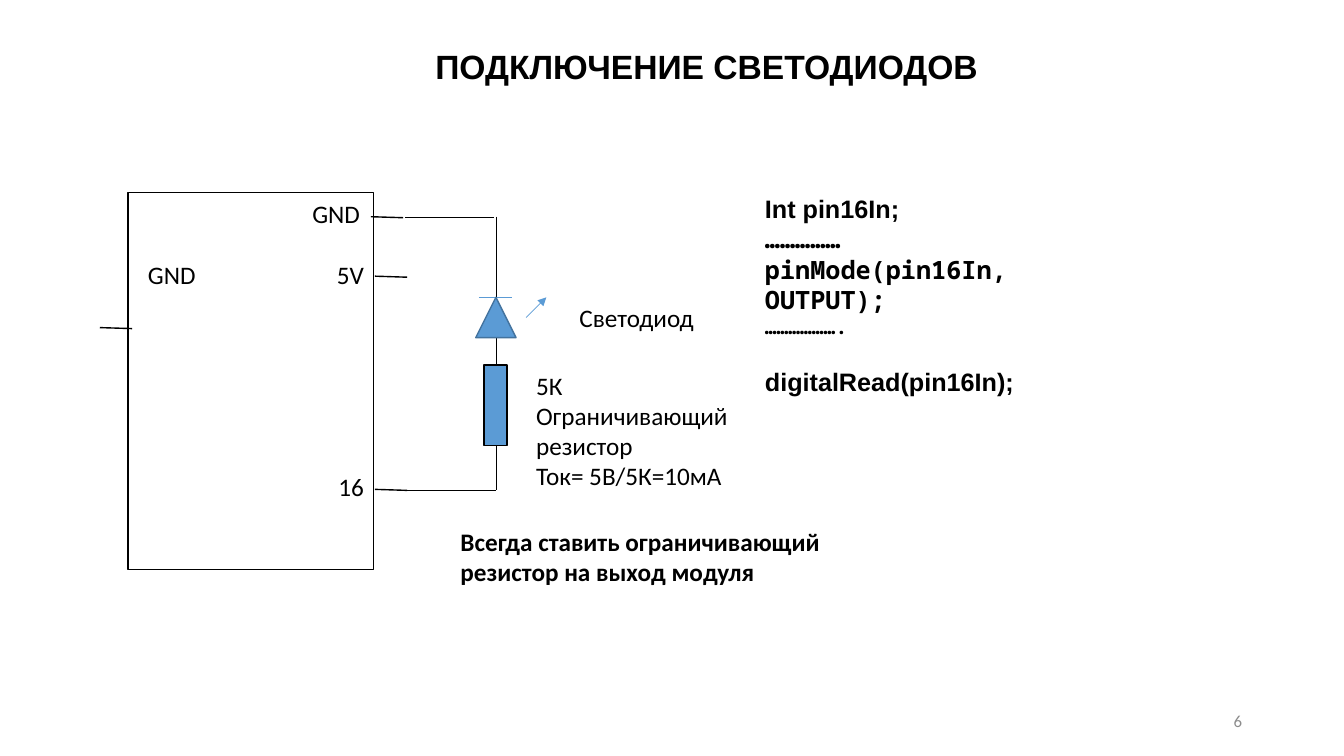
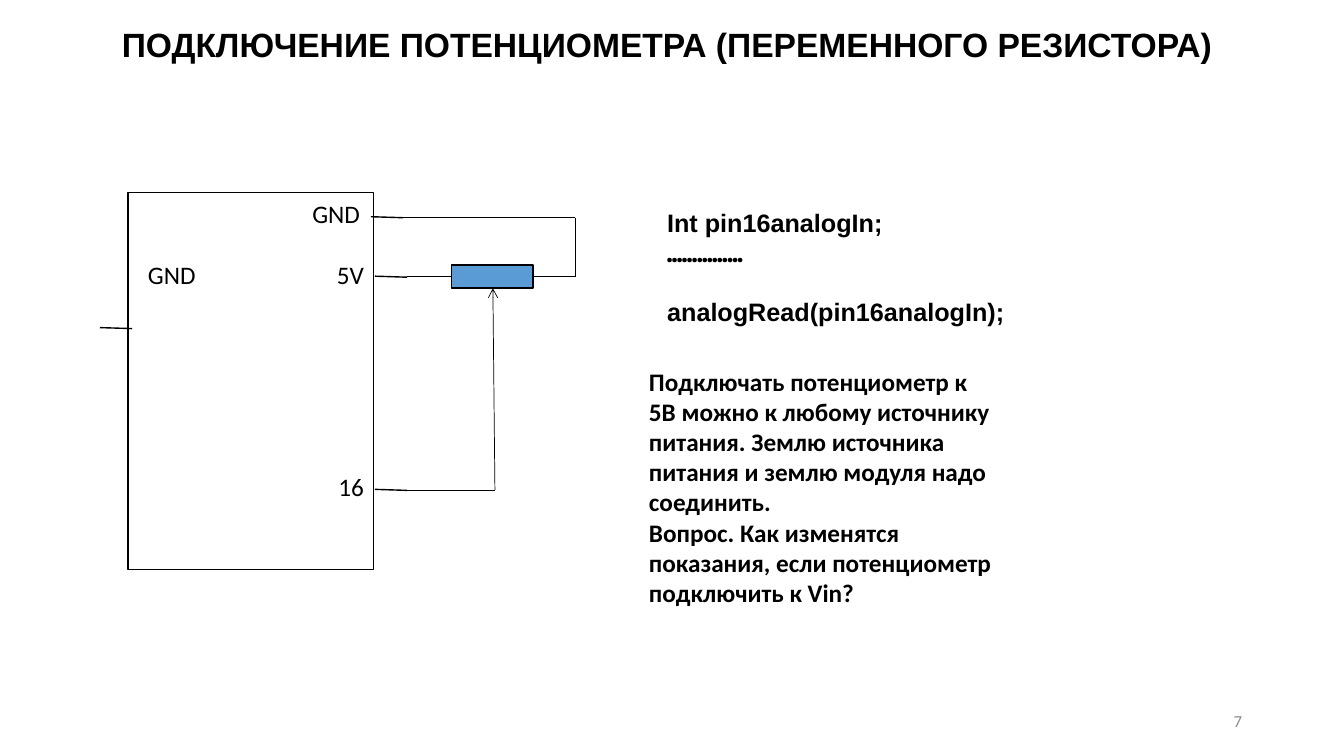
import pptx
import pptx.util
import pptx.dml.color
import pptx.enum.shapes
import pptx.enum.text
import pptx.oxml
import pptx.oxml.ns

RGB = pptx.dml.color.RGBColor
BLACK = RGB(0x00, 0x00, 0x00)
GRAY = RGB(0x8C, 0x8C, 0x8C)
BLUE = RGB(0x5B, 0x9B, 0xD5)
NAVY = RGB(0x43, 0x73, 0x9E)
SANS, BODY, MONO = "Arial", "Calibri", "Noto Sans Mono"
RECT = pptx.enum.shapes.MSO_SHAPE.RECTANGLE
FLAG = pptx.enum.shapes.MSO_SHAPE.ISOSCELES_TRIANGLE
LEFT = pptx.enum.text.PP_ALIGN.LEFT
RIGHT = pptx.enum.text.PP_ALIGN.RIGHT

# Grid of square cells, ten to the inch
CELL = pptx.util.Inches(0.1)
COLS, ROWS = 133.33, 75


def text(slide, box, lines, font=BODY, size=18, bold=False, color=BLACK, align=LEFT):
    """Each line is a string or (string, font, size, space before)."""
    frame = slide.shapes.add_textbox(*[int(n * CELL) for n in box]).text_frame
    frame.word_wrap = True
    for i, line in enumerate(lines):
        if isinstance(line, str):
            line = (line, font, size, 0)
        para = frame.paragraphs[0] if i == 0 else frame.add_paragraph()
        para.text, face, points, gap = line
        para.alignment = align
        if gap:
            para.space_before = pptx.util.Pt(gap)
        for run in para.runs:
            run.font.name = face
            run.font.size = pptx.util.Pt(points)
            run.font.bold = bold
            run.font.color.rgb = color
    return frame


def wire(slide, ends, width=0.5, color=BLACK, tip=None):
    kind = pptx.enum.shapes.MSO_CONNECTOR.STRAIGHT
    line = slide.shapes.add_connector(kind, *[int(n * CELL) for n in ends])
    line.line.width = pptx.util.Pt(width)
    line.line.color.rgb = color
    if tip:
        mark = pptx.oxml.parse_xml(
            f'<a:tailEnd {pptx.oxml.ns.nsdecls("a")} type="{tip}"/>')
        line.line._get_or_add_ln().append(mark)
    flat = pptx.oxml.parse_xml(f'<a:effectLst {pptx.oxml.ns.nsdecls("a")}/>')
    line._element.spPr.append(flat)


# Board shared by both slides: outline, pins and pin labels
BOARD = (RECT, (12.7, 19.1, 24.4, 37.4), None, BLACK, 0.75)
PINS = [(9.9, 32.5), (36.8, 21.5), (37.2, 27.4), (37.2, 48.55)]
LABELS = [("GND", 26.7, 19.2, RIGHT), ("GND", 13.7, 25.2, LEFT),
          ("5V", 27.1, 25.2, RIGHT), ("16", 27.1, 46.3, RIGHT)]

SLIDES = [
    {
        "title": ("ПОДКЛЮЧЕНИЕ СВЕТОДИОДОВ", (42.2, 4.1, 57.5, 5)),
        "wires": [
            ((40.2, 21.6, 49, 21.6),),
            ((49.2, 21.5, 49.2, 29.5),),
            ((49.2, 33.5, 49.2, 48.6),),
            ((40.2, 48.6, 49.2, 48.6),),
            ((47.5, 29.5, 50.8, 29.5), 0.5, BLUE),
            ((52.2, 31.5, 54.2, 29.5), 0.5, BLUE, "triangle"),
        ],
        "parts": [(RECT, (48, 36.2, 2.3, 8), BLUE, BLACK, 1),
                  (FLAG, (47.2, 29.5, 4, 4), BLUE, NAVY, 1)],
        "code": ((74.9, 18.7, 35.4, 17.8), [
            "Int pin16In;",
            ("……………", MONO, 18, 0),
            ("pinMode(pin16In, OUTPUT);", MONO, 18, 0),
            ("……………….", MONO, 14, 0),
            ("digitalRead(pin16In);", SANS, 18, 20)]),
        "notes": [
            ((52.2, 36.2, 22.7, 13.1), False,
             ["5К", "Ограничивающий резистор", "Ток= 5В/5К=10мА"]),
            ((56.5, 29.5, 14.2, 4), False, ["Светодиод"]),
            ((44.7, 51.7, 38.6, 7.1), True,
             ["Всегда ставить ограничивающий резистор на выход модуля"]),
        ],
    },
    {
        "title": ("ПОДКЛЮЧЕНИЕ ПОТЕНЦИОМЕТРА (ПЕРЕМЕННОГО РЕЗИСТОРА)",
                  (11.1, 1.9, 110.7, 5)),
        "wires": [
            ((40, 21.6, 57, 21.6),),
            ((57.1, 21.6, 57.1, 27.5),),
            ((52.9, 27.45, 57.1, 27.45),),
            ((40.4, 27.45, 44.8, 27.45),),
            ((49.1, 48.6, 48.9, 28.6), 0.5, BLACK, "arrow"),
            ((40.4, 48.6, 49.1, 48.6),),
        ],
        "parts": [(RECT, (44.8, 26.3, 8.1, 2.3), BLUE, BLACK, 1)],
        "code": ((65.2, 20.1, 40.3, 12.5), [
            "Int pin16analogIn;",
            ("……………", MONO, 18, 0),
            ("analogRead(pin16analogIn);", SANS, 18, 20)]),
        "notes": [
            ((63.4, 35.8, 36.4, 25.2), True,
             ["Подключать потенциометр к 5В можно к любому источнику питания. "
              "Землю источника питания и землю модуля надо соединить.",
              "Вопрос. Как изменятся показания, если потенциометр",
              "подключить к Vin?"]),
        ],
    },
]

deck = pptx.Presentation()
deck.slide_width = int(COLS * CELL)
deck.slide_height = int(ROWS * CELL)

for page, data in enumerate(SLIDES, start=6):
    slide = deck.slides.add_slide(deck.slide_layouts[6])

    # Title and page number
    title, box = data["title"]
    text(slide, box, [title], SANS, 24, True)
    foot = text(slide, (94.2, 69.5, 30, 4), [str(page)],
                size=12, color=GRAY, align=RIGHT)
    foot.vertical_anchor = pptx.enum.text.MSO_ANCHOR.MIDDLE

    # Wires, then the board and parts over them
    for x, y in PINS:
        wire(slide, (x, y, x + 3.2, y + 0.1), 1)
    for args in data["wires"]:
        wire(slide, *args)
    for kind, box, fill, edge, width in [BOARD] + data["parts"]:
        part = slide.shapes.add_shape(kind, *[int(n * CELL) for n in box])
        part.shadow.inherit = False
        if fill is None:
            part.fill.background()
        else:
            part.fill.solid()
            part.fill.fore_color.rgb = fill
        part.line.color.rgb = edge
        part.line.width = pptx.util.Pt(width)

    # Pin labels, code and notes
    for label, x, y, align in LABELS:
        text(slide, (x, y, 10, 4), [label], align=align)
    box, lines = data["code"]
    text(slide, box, lines, SANS, bold=True)
    for box, bold, lines in data["notes"]:
        text(slide, box, lines, bold=bold)

deck.save("out.pptx")
